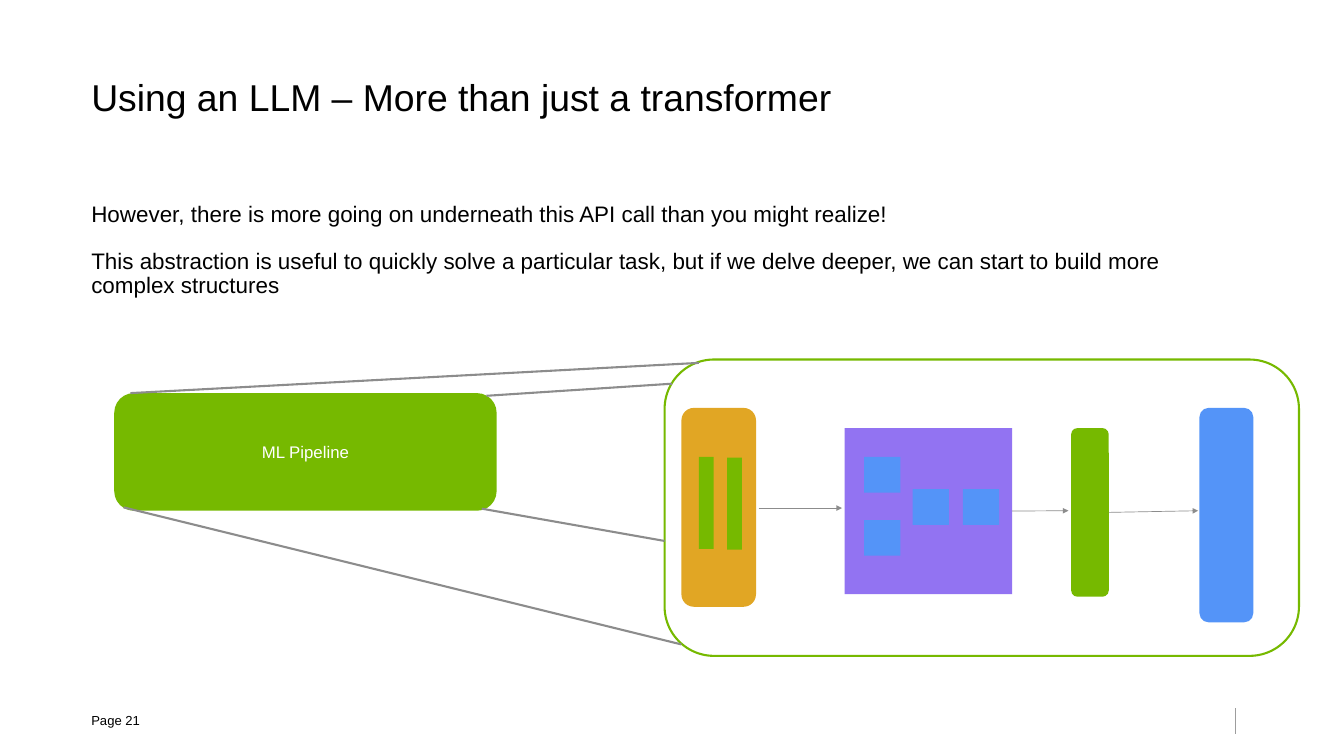
import pptx
import pptx.util
import pptx.dml.color
import pptx.enum.shapes
import pptx.enum.text
import pptx.oxml.ns
from dataclasses import dataclass
from lxml import etree

Inches, Pt = pptx.util.Inches, pptx.util.Pt
RGB = pptx.dml.color.RGBColor.from_string
ANCHOR = pptx.enum.text.MSO_ANCHOR
ALIGN = pptx.enum.text.PP_ALIGN
SHAPE = pptx.enum.shapes.MSO_SHAPE
STRAIGHT = pptx.enum.shapes.MSO_CONNECTOR.STRAIGHT


@dataclass(frozen=True)
class Theme:
    font: str = "Arial"
    ink: str = "000000"
    paper: str = "FFFFFF"
    green: str = "76B900"
    amber: str = "E1A624"
    purple: str = "9273F2"
    blue: str = "5494F8"
    grey: str = "8C8C8C"
    rule: str = "9D9D9D"
    title: int = 40
    body: int = 24
    label: int = 18
    footer: int = 14
    outline: float = 2.25
    arrow: float = 0.75
    hairline: float = 1


THEME = Theme()

TITLE = "Using an LLM – More than just a transformer"
BODY = [
    "However, there is more going on underneath this API call than you might realize!",
    "This abstraction is useful to quickly solve a particular task, but if we delve deeper, "
    "we can start to build more complex structures",
]
PAGE = "Page 21"
PIPELINE = "ML Pipeline"

MARGIN, TEXT_WIDTH = 1.26, 17.25
PIPELINE_BOX = (1.7, 5.85, 5.69, 1.75)
PANEL_BOX = (9.89, 5.35, 9.44, 4.41)

ZOOM_LINES = [
    ((10.4, 5.4), (1.94, 5.85)),
    ((10.14, 9.59), (1.84, 7.55)),
    ((10, 5.71), (7.24, 5.89)),
    ((9.89, 8.05), (7.17, 7.57)),
]
STAGES = {
    "tokenizer": (SHAPE.ROUNDED_RECTANGLE, THEME.amber, (10.14, 6.07, 1.11, 2.96)),
    "model": (SHAPE.RECTANGLE, THEME.purple, (12.57, 6.37, 2.49, 2.47)),
    "head": (SHAPE.ROUNDED_RECTANGLE, THEME.green, (15.94, 6.37, 0.56, 2.51)),
    "output": (SHAPE.ROUNDED_RECTANGLE, THEME.blue, (17.85, 6.07, 0.8, 3.19)),
}
ARROWS = [
    (None, (11.29, 7.56), (12.53, 7.56)),
    ("model", (15.06, 7.61), (15.9, 7.6)),
    ("head", (16.5, 7.63), (17.83, 7.6)),
]
TOKEN_BARS = [(10.4, 6.8), (10.82, 6.81)]
MODEL_BLOCKS = [(12.86, 6.8), (12.86, 7.74), (13.58, 7.28), (14.33, 7.28)]
PARTS = [
    (TOKEN_BARS, (0.22, 1.37), THEME.green),
    (MODEL_BLOCKS, (0.54, 0.53), THEME.blue),
]


def apply(target, formats):
    for attribute, value in formats.items():
        setattr(target, attribute, value)


def write(frame, paragraphs, size, color, anchor, **paragraph_format):
    apply(frame, {"word_wrap": True, "vertical_anchor": anchor})
    for index, words in enumerate(paragraphs):
        paragraph = frame.add_paragraph() if index else frame.paragraphs[0]
        paragraph.text = words
        apply(paragraph, paragraph_format)
        if index:
            paragraph.space_before = Pt(size)
        apply(paragraph.font, {"name": THEME.font, "size": Pt(size)})
        paragraph.font.color.rgb = RGB(color)


def add_text(slide, box, paragraphs, size, anchor, **paragraph_format):
    frame = slide.shapes.add_textbox(*map(Inches, box)).text_frame
    write(frame, paragraphs, size, THEME.ink, anchor, **paragraph_format)


def add_block(slide, preset, box, fill, outline=None):
    block = slide.shapes.add_shape(preset, *map(Inches, box))
    block.shadow.inherit = False
    block.fill.solid()
    block.fill.fore_color.rgb = RGB(fill)
    if outline:
        block.line.color.rgb = RGB(outline)
        block.line.width = Pt(THEME.outline)
    else:
        block.line.fill.background()
    return block


def add_line(slide, start, end, color, width, arrow=False):
    line = slide.shapes.add_connector(STRAIGHT, *map(Inches, (*start, *end)))
    line.line.color.rgb = RGB(color)
    line.line.width = Pt(width)
    qn = pptx.oxml.ns.qn
    if arrow:
        etree.SubElement(line.line._get_or_add_ln(), qn("a:tailEnd"), type="triangle")
    etree.SubElement(line._element.spPr, qn("a:effectLst"))
    return line


def main():
    deck = pptx.Presentation()
    apply(deck, {"slide_width": Inches(20), "slide_height": Inches(11.25)})
    slide = deck.slides.add_slide(deck.slide_layouts[6])

    add_line(slide, (18.38, 10.54), (18.38, 10.92), THEME.rule, THEME.hairline)
    add_text(slide, (MARGIN, 10.51, 2.35, 0.43), [PAGE], THEME.footer, ANCHOR.MIDDLE)
    add_text(slide, (MARGIN, 0.4, TEXT_WIDTH, 2.17), [TITLE], THEME.title,
             ANCHOR.MIDDLE, line_spacing=0.9)
    add_text(slide, (MARGIN, 2.98, TEXT_WIDTH, 6.78), BODY, THEME.body,
             ANCHOR.TOP, line_spacing=0.9)

    pipeline = add_block(slide, SHAPE.ROUNDED_RECTANGLE, PIPELINE_BOX, THEME.green)
    write(pipeline.text_frame, [PIPELINE], THEME.label, THEME.paper,
          ANCHOR.MIDDLE, alignment=ALIGN.CENTER)
    add_block(slide, SHAPE.ROUNDED_RECTANGLE, PANEL_BOX, THEME.paper, THEME.green)
    for start, end in ZOOM_LINES:
        add_line(slide, start, end, THEME.grey, THEME.outline)

    stages = {name: add_block(slide, preset, box, fill)
              for name, (preset, fill, box) in STAGES.items()}
    for source, start, end in ARROWS:
        arrow = add_line(slide, start, end, THEME.grey, THEME.arrow, arrow=True)
        if source:
            arrow.begin_connect(stages[source], 3)

    for corners, size, fill in PARTS:
        for corner in corners:
            add_block(slide, SHAPE.RECTANGLE, (*corner, *size), fill)

    deck.save("out.pptx")


if __name__ == "__main__":
    main()
